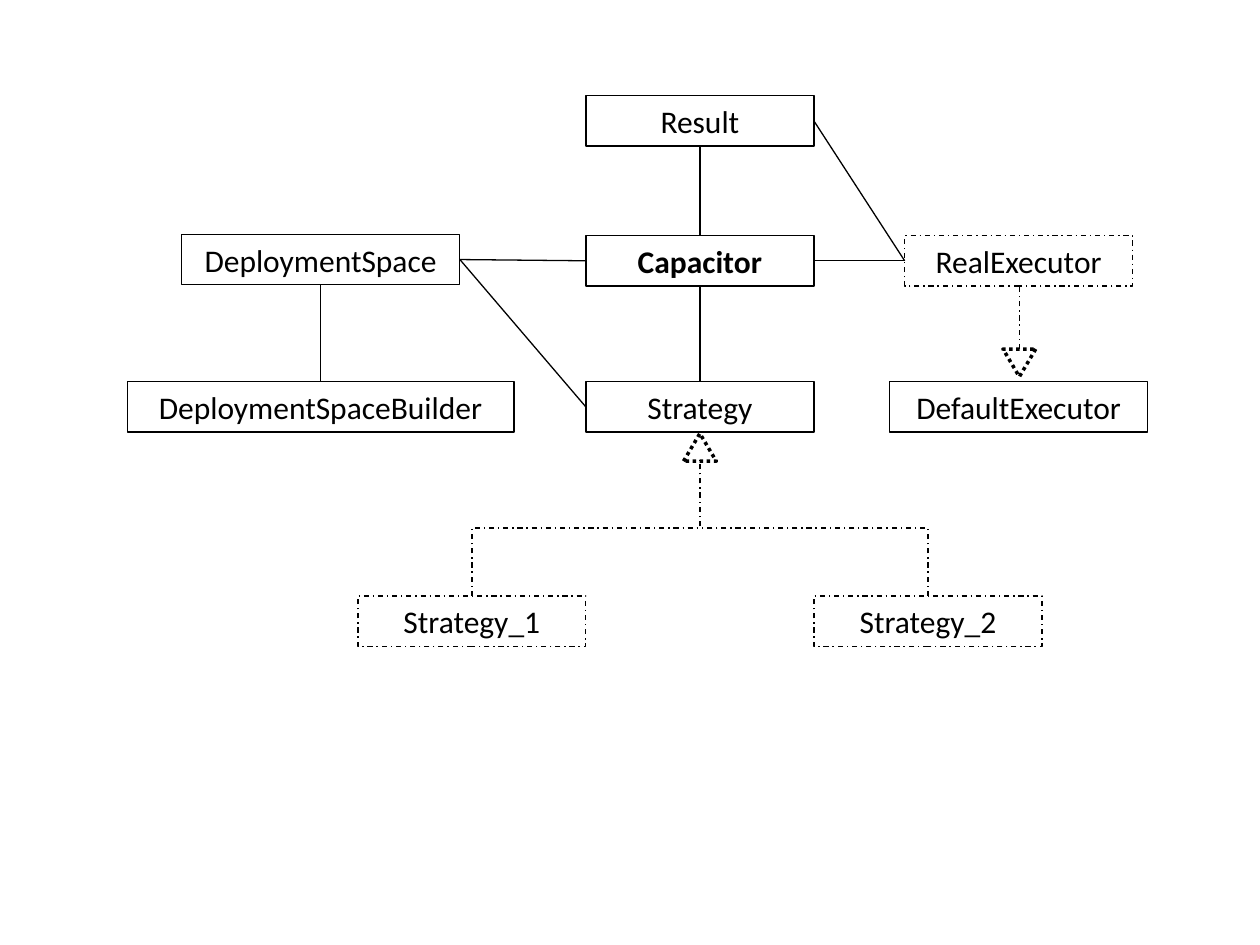
import pptx
import pptx.util
import pptx.dml.color
import pptx.enum.dml
import pptx.enum.shapes
import pptx.enum.text
import pptx.oxml.ns
import lxml.etree

Inches = pptx.util.Inches
Shape = pptx.enum.shapes.MSO_SHAPE
Link = pptx.enum.shapes.MSO_CONNECTOR
Dash = pptx.enum.dml.MSO_LINE
TOP, LEFT, BOTTOM, RIGHT = range(4)


def color(code):
    return pptx.dml.color.RGBColor.from_string(code)


class Chart:
    font, size, ink = "Calibri", 18, "000000"
    wide, high = 1.81, 0.4

    def __init__(self, slide):
        self.slide = slide

    def stroke(self, item, dash=None, weight=0.75):
        item.line.color.rgb = color(self.ink)
        item.line.width = pptx.util.Pt(weight)
        if dash:
            item.line.dash_style = dash

    def shape(self, kind, x, y, w, h, dash=None, weight=0.75):
        item = self.slide.shapes.add_shape(
            kind, Inches(x), Inches(y), Inches(w), Inches(h))
        item.shadow.inherit = False
        item.fill.background()
        self.stroke(item, dash, weight)
        return item

    def box(self, name, x, y, w=wide, dash=None, bold=False):
        item = self.shape(Shape.RECTANGLE, x, y, w, self.high, dash)
        frame = item.text_frame
        frame.word_wrap = False
        frame.vertical_anchor = pptx.enum.text.MSO_ANCHOR.MIDDLE
        para = frame.paragraphs[0]
        para.alignment = pptx.enum.text.PP_ALIGN.CENTER
        run = para.add_run()
        run.text = name
        run.font.name = self.font
        run.font.size = pptx.util.Pt(self.size)
        run.font.bold = bold
        run.font.color.rgb = color(self.ink)
        return item

    def head(self, x, y, turn=0):
        """Open triangle centred on x, with its top edge at y."""
        item = self.shape(Shape.ISOSCELES_TRIANGLE, x - 0.13, y, 0.26, 0.22,
                          Dash.ROUND_DOT, 2)
        item.rotation = turn

    def line(self, kind, x1, y1, x2, y2, dash=None):
        item = self.slide.shapes.add_connector(
            kind, Inches(x1), Inches(y1), Inches(x2), Inches(y2))
        self.stroke(item, dash)
        lxml.etree.SubElement(item._element.spPr,
                              pptx.oxml.ns.qn("a:effectLst"))
        return item

    def join(self, start, side, end, site):
        item = self.line(Link.STRAIGHT, 0, 0, 1, 1)
        item.begin_connect(start, side)
        item.end_connect(end, site)

    def elbow(self, x1, y1, x2, y2):
        """Bent line that leaves and arrives upright: a turned elbow."""
        mid, level = (x1 + x2) / 2, (y1 + y2) / 2
        across, drop = abs(x2 - x1) / 2, (y1 - y2) / 2
        way = 1 if x2 > x1 else -1
        item = self.line(Link.ELBOW, mid + way * drop, level + across,
                         mid - way * drop, level - across, Dash.DASH_DOT)
        frame = item._element.spPr.find(pptx.oxml.ns.qn("a:xfrm"))
        frame.set("rot", str((90 if way > 0 else 270) * 60000))


deck = pptx.Presentation()
deck.slide_width, deck.slide_height = Inches(10), Inches(7.5)
chart = Chart(deck.slides.add_slide(deck.slide_layouts[6]))

# Class boxes
col, wide, low = 4.65, chart.wide, 3.03
result = chart.box("Result", col, 0.76)
core = chart.box("Capacitor", col, 1.87, bold=True)
plan = chart.box("Strategy", col, low)
space = chart.box("DeploymentSpace", 1.44, 1.86, 2.21)
maker = chart.box("DeploymentSpaceBuilder", 1.01, low, 3.07)
real = chart.box("RealExecutor", 7.18, 1.87, dash=Dash.DASH_DOT)
chart.box("DefaultExecutor", 7.06, low, 2.05)

# Associations
for ends in [(core, RIGHT, real, LEFT), (core, LEFT, space, RIGHT),
             (space, RIGHT, plan, LEFT), (space, BOTTOM, maker, TOP),
             (core, BOTTOM, plan, TOP), (core, TOP, result, BOTTOM),
             (real, LEFT, result, RIGHT)]:
    chart.join(*ends)

# Strategy variants
mid = col + wide / 2
chart.head(mid, 3.44)
for name, side in [("Strategy_1", -1), ("Strategy_2", 1)]:
    chart.box(name, col + side * wide, 4.73, dash=Dash.DASH_DOT)
    chart.elbow(mid + side * wide, 4.73, mid, 3.65)

# Executor arrow
axis = 8.09
chart.head(axis, 2.77, 180)
chart.line(Link.STRAIGHT, axis, 2.77, axis, 2.26, Dash.DASH_DOT)

deck.save("out.pptx")
